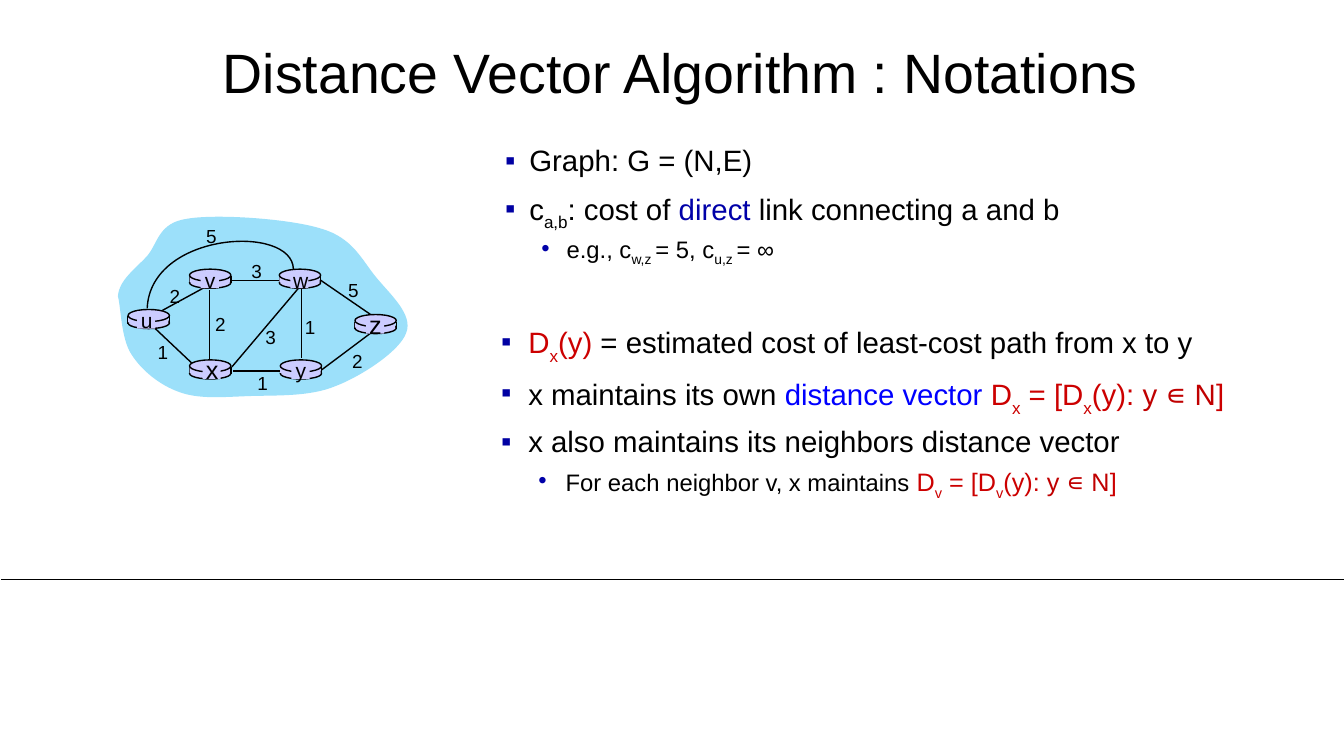
from lxml import etree
from pptx import Presentation
from pptx.dml.color import RGBColor
from pptx.enum.shapes import MSO_CONNECTOR, MSO_SHAPE
from pptx.enum.text import MSO_ANCHOR, PP_ALIGN
from pptx.oxml.ns import qn
from pptx.util import Pt

PX = 9144
WIDTH, HEIGHT = 1333, 750
FONT = "Arial"
BLACK = RGBColor(0x00, 0x00, 0x00)
SKY = RGBColor(0x9C, 0xE0, 0xFA)
LILAC = RGBColor(0xCC, 0xCC, 0xFF)
NAVY = RGBColor(0x00, 0x00, 0xA8)
INK = RGBColor(0x00, 0x00, 0xA3)
BLUE = RGBColor(0x00, 0x00, 0xFF)
RED = RGBColor(0xCC, 0x00, 0x00)
BRICK = RGBColor(0xC0, 0x00, 0x00)
OVAL, RECT = MSO_SHAPE.OVAL, MSO_SHAPE.RECTANGLE
LINE = MSO_CONNECTOR.STRAIGHT
CENTER, MIDDLE = PP_ALIGN.CENTER, MSO_ANCHOR.MIDDLE

TITLE = "Distance Vector Algorithm : Notations"

# (level, space before, indent, hanging, runs of text, size, colour, baseline)
NOTES = [
    (0, 0, 39, 24, [("Graph: G = (N,E)", 21, BLACK, 0)]),
    (0, 10, 39, 24, [
        ("c", 21, BLACK, 0), ("a,b", 21, BLACK, -25),
        (": cost of ", 21, BLACK, 0), ("direct", 21, NAVY, 0),
        (" link connecting a and b", 21, BLACK, 0)]),
    (1, 5, 76, 25, [
        ("e.g., c", 17, BLACK, 0), ("w,z ", 17, BLACK, -25),
        ("= 5, c", 17, BLACK, 0), ("u,z ", 17, BLACK, -25),
        ("= ∞", 17, BLACK, 0)]),
    (0, 43, 38, 27, [
        ("D", 21, RED, 0), ("x", 21, RED, -30), ("(y)", 21, RED, 0),
        (" = estimated cost of least-cost path from x to y", 21, BLACK, 0)]),
    (0, 10, 38, 27, [
        ("x maintains its own ", 21, BLACK, 0),
        ("distance vector ", 21, BLUE, 0), ("D", 21, RED, 0),
        ("x", 21, RED, -30), (" = [D", 21, RED, 0), ("x", 21, RED, -30),
        ("(y): ", 21, RED, 0), ("y ∊ N", 21, BRICK, 0), ("]", 21, RED, 0)]),
    (0, 10, 38, 27, [
        ("x also maintains its neighbors distance vector", 21, BLACK, 0)]),
    (1, 5, 75, 27, [
        ("For each neighbor v, x maintains ", 17, BLACK, 0),
        ("D", 18, RED, 0), ("v", 18, RED, -30), (" = [D", 18, RED, 0),
        ("v", 18, RED, -30), ("(y): ", 18, RED, 0),
        ("y ∊ N", 18, BRICK, 0), ("]", 18, RED, 0)]),
]
BULLETS = [("▪", INK), ("•", NAVY)]

CLOUD = [
    (117, 294), (118, 278), (134, 267), (146, 254),
    (157, 241), (157, 221), (186, 217), (215, 212), (288, 217), (319, 227),
    (350, 236), (359, 258), (373, 275), (387, 292), (410, 312), (403, 330),
    (397, 348), (359, 373), (333, 383), (307, 394), (272, 392), (246, 393),
    (220, 394), (197, 396), (178, 389), (158, 382), (140, 367), (130, 351),
    (120, 335), (120, 305), (117, 294)]
ARC = [(291, 267), (290, 222), (149, 230), (146, 306)]
EDGES = [
    (161, 308, 205, 284), (299, 287, 299, 355), (208, 288, 208, 358),
    (230, 364, 296, 286), (319, 367, 367, 331), (278, 368, 231, 368),
    (190, 360, 154, 326), (278, 278, 230, 278), (369, 313, 318, 278)]
NODES = [
    ("u", 127, 307, 145, 15), ("x", 188, 357, 210, 18),
    ("v", 188, 267, 208, 15), ("w", 277, 267, 297, 15),
    ("y", 278, 357, 298, 15), ("z", 352, 312, 372, 18)]
COSTS = [
    ("2", 158, 277), ("2", 203, 305), ("1", 146, 333), ("3", 253, 318),
    ("1", 245, 364), ("1", 292, 308), ("2", 339, 342), ("5", 335, 272),
    ("3", 239, 253), ("5", 194, 218)]

deck = Presentation()
deck.slide_width, deck.slide_height = WIDTH * PX, HEIGHT * PX
slide = deck.slides.add_slide(deck.slide_layouts[5])
shapes = slide.shapes


def style(run, size, color=BLACK):
    run.font.name = FONT
    run.font.size = Pt(size)
    run.font.color.rgb = color


def paint(shape, fill=None, edge=False):
    shape.shadow.inherit = False
    if fill is None:
        shape.fill.background()
    else:
        shape.fill.solid()
        shape.fill.fore_color.rgb = fill
    if edge:
        shape.line.color.rgb = BLACK
        shape.line.width = Pt(1)
    else:
        shape.line.fill.background()


def block(kind, x, y, w, h, edge=False):
    shape = shapes.add_shape(kind, x * PX, y * PX, w * PX, h * PX)
    paint(shape, LILAC, edge)


def rule(x1, y1, x2, y2, width=1):
    line = shapes.add_connector(LINE, x1 * PX, y1 * PX, x2 * PX, y2 * PX)
    line.line.color.rgb = BLACK
    line.line.width = Pt(width)
    etree.SubElement(line._element.spPr, qn("a:effectLst"))


def label(text, size, x, y, w, h):
    frame = shapes.add_textbox(x * PX, y * PX, w * PX, h * PX).text_frame
    frame.word_wrap = False
    frame.text = text
    frame.paragraphs[0].alignment = CENTER
    style(frame.paragraphs[0].runs[0], size)


def curve(knots, closed):
    draft = shapes.build_freeform(*knots[0], scale=PX)
    draft.add_line_segments(knots[1:], close=closed)
    shape = draft.convert_to_shape()
    legs = list(shape._element.iter(qn("a:lnTo")))
    for i in range(0, len(legs), 3):
        bend = etree.Element(qn("a:cubicBezTo"))
        legs[i].addprevious(bend)
        for leg in legs[i:i + 3]:
            bend.append(leg[0])
            leg.getparent().remove(leg)
    return shape


def router(name, x, y, mid, size):
    block(OVAL, x, y + 8, 41, 11, True)
    for side in (x, x + 41):
        rule(side, y + 7, side, y + 14)
    block(RECT, x, y + 7, 40, 6)
    block(OVAL, x, y, 41, 12, True)
    block(RECT, mid - 9, y + 2, 18, 17)
    label(name, size, mid - 16, y + 8 - size, 33, 2 * size + 5)


def bullet(para, sign, color, indent, hang):
    props = para._p.get_or_add_pPr()
    props.set("marL", str(indent * PX))
    props.set("indent", str(-hang * PX))
    tint = etree.SubElement(props, qn("a:buClr"))
    etree.SubElement(tint, qn("a:srgbClr"), val=str(color))
    etree.SubElement(props, qn("a:buFont"), typeface=FONT)
    etree.SubElement(props, qn("a:buChar"), char=sign)


rule(1, 575, WIDTH, 575, 0.5)

title = shapes.title
title.left, title.top, title.width, title.height = (
    n * PX for n in (188, 38, 974, 73))
title.text_frame.text = TITLE
title.text_frame.vertical_anchor = MIDDLE
head = title.text_frame.paragraphs[0]
head.alignment = CENTER
head.line_spacing = 0.9
style(head.runs[0], 39.6)

paint(curve(CLOUD, True), SKY)
for edge in EDGES:
    rule(*edge)
paint(curve(ARC, False), edge=True)
for node in NODES:
    router(*node)
for cost, x, y in COSTS:
    label(cost, 13.5, x, y, 31, 33)

frame = shapes.add_textbox(479 * PX, 141 * PX, 854 * PX, 507 * PX).text_frame
frame.word_wrap = True
frame.margin_left = frame.margin_right = 7 * PX
frame.margin_top = frame.margin_bottom = 4 * PX
for i, (level, before, indent, hang, runs) in enumerate(NOTES):
    para = frame.add_paragraph() if i else frame.paragraphs[0]
    bullet(para, *BULLETS[level], indent, hang)
    para.level = level
    para.line_spacing = 0.9
    para.space_before = Pt(before)
    for text, size, color, base in runs:
        run = para.add_run()
        run.text = text
        style(run, size, color)
        if base:
            run._r.get_or_add_rPr().set("baseline", str(base * 1000))

deck.save("out.pptx")
